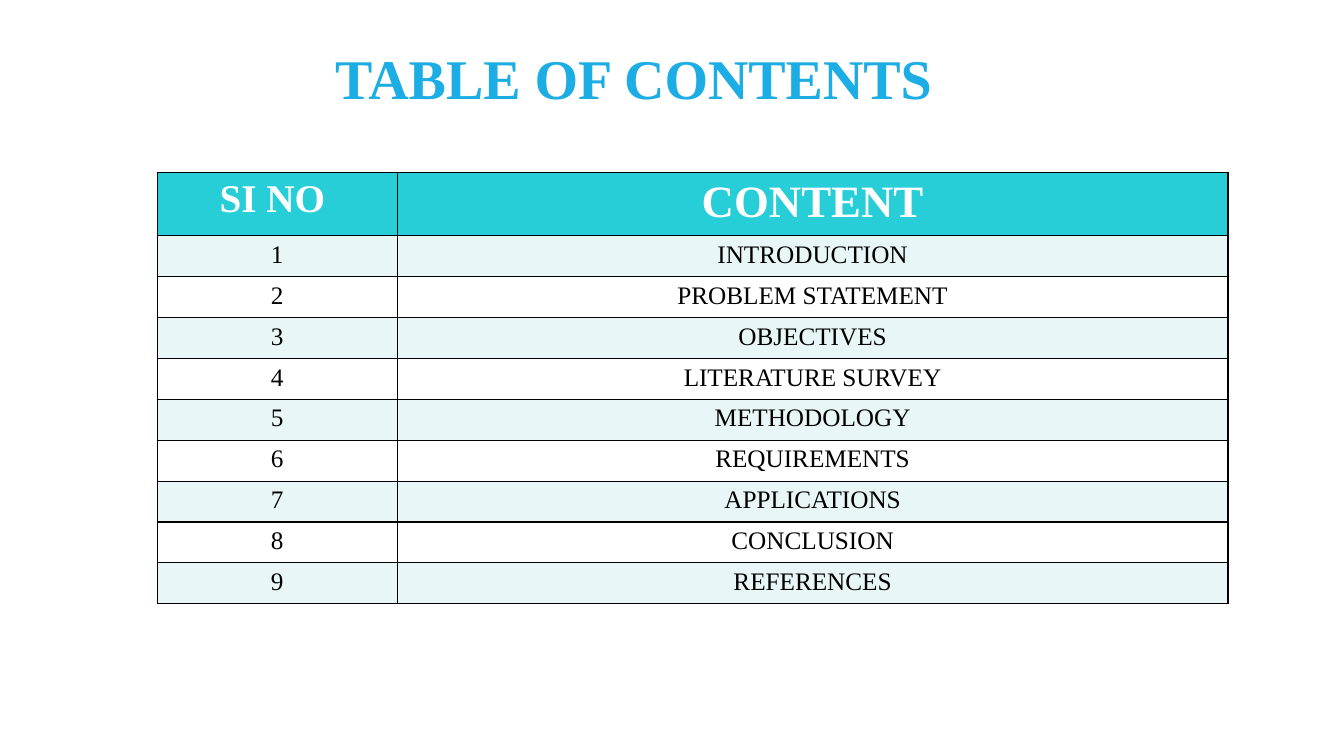
from lxml.etree import SubElement
from pptx import Presentation
from pptx.dml.color import RGBColor
from pptx.enum.text import MSO_ANCHOR, PP_ALIGN
from pptx.oxml.ns import qn
from pptx.util import Inches, Pt

FONT = "Times New Roman"
HEADINGS = [("SI NO ", 28), ("CONTENT", 32)]
TOPICS = [
    "INTRODUCTION",
    "PROBLEM STATEMENT",
    "OBJECTIVES",
    "LITERATURE SURVEY",
    "METHODOLOGY",
    "REQUIREMENTS",
    "APPLICATIONS",
    "CONCLUSION",
    "REFERENCES",
]
COLUMN_WIDTHS = [2.38, 8.24]
HEADER_HEIGHT = 0.63
TOPICS_HEIGHT = 3.65


def color(hex_string):
    return RGBColor.from_string(hex_string)


def write_text(frame, text, size=18, fill="000000", bold=False):
    paragraph = frame.paragraphs[0]
    paragraph.alignment = PP_ALIGN.CENTER
    run = paragraph.add_run()
    run.text = text
    run.font.name = FONT
    run.font.size = Pt(size)
    run.font.bold = bold
    run.font.color.rgb = color(fill)


def add_borders(cell, line_color="000000", width=1):
    properties = cell._tc.get_or_add_tcPr()
    for position, side in enumerate(["a:lnL", "a:lnR", "a:lnT", "a:lnB"]):
        line = SubElement(properties, qn(side), w=str(Pt(width)))
        fill = SubElement(line, qn("a:solidFill"))
        SubElement(fill, qn("a:srgbClr"), val=line_color)
        properties.insert(position, line)


def fill_cell(cell, text, background, **text_format):
    cell.fill.solid()
    cell.fill.fore_color.rgb = color(background)
    add_borders(cell)
    write_text(cell.text_frame, text, **text_format)


def add_title(slide, text):
    title = slide.shapes.title
    title.left, title.top = Inches(0.85), Inches(0.38)
    title.width, title.height = Inches(10.87), Inches(0.77)
    title.text_frame.word_wrap = True
    title.text_frame.vertical_anchor = MSO_ANCHOR.TOP
    write_text(title.text_frame, text, size=40, fill="1CADE4", bold=True)


def add_contents_table(slide):
    table = slide.shapes.add_table(
        len(TOPICS) + 1, len(HEADINGS), Inches(1.56), Inches(1.71),
        Inches(sum(COLUMN_WIDTHS)), Inches(HEADER_HEIGHT + TOPICS_HEIGHT),
    ).table
    for column, width in zip(table.columns, COLUMN_WIDTHS):
        column.width = Inches(width)
    for row in table.rows:
        row.height = Inches(TOPICS_HEIGHT / len(TOPICS))
    table.rows[0].height = Inches(HEADER_HEIGHT)

    for column, (heading, size) in enumerate(HEADINGS):
        fill_cell(table.cell(0, column), heading, "27CED7",
                  size=size, fill="FFFFFF", bold=True)
    for number, topic in enumerate(TOPICS, start=1):
        background = "E8F6F8" if number % 2 else "FFFFFF"
        for column, text in enumerate([str(number), topic]):
            fill_cell(table.cell(number, column), text, background)


def main():
    presentation = Presentation()
    presentation.slide_width = Inches(13.33)
    presentation.slide_height = Inches(7.5)
    slide = presentation.slides.add_slide(presentation.slide_layouts[5])
    add_title(slide, "TABLE OF CONTENTS")
    add_contents_table(slide)
    presentation.save("out.pptx")


if __name__ == "__main__":
    main()
